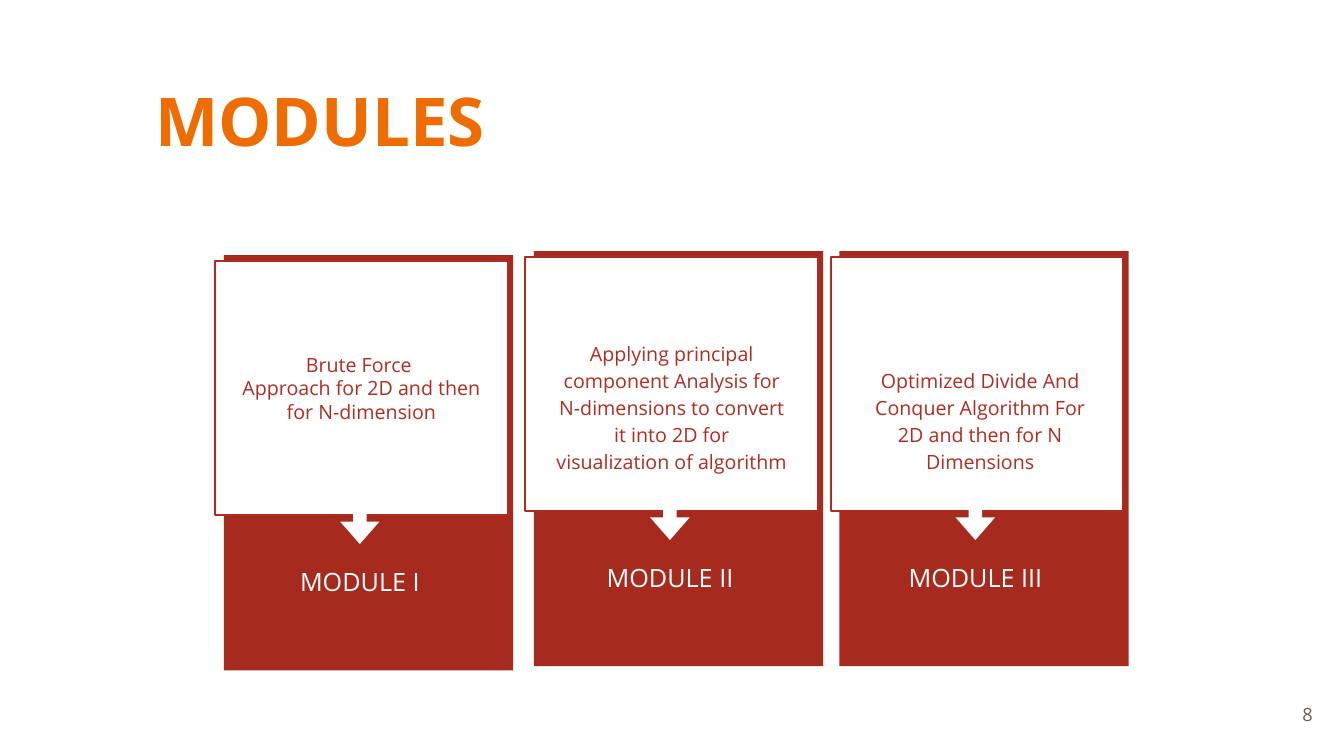
from pptx import Presentation
from pptx.dml.color import RGBColor
from pptx.enum.shapes import MSO_SHAPE
from pptx.enum.text import MSO_ANCHOR, PP_ALIGN
from pptx.util import Pt

RECTANGLE, ARROW = MSO_SHAPE.RECTANGLE, MSO_SHAPE.RIGHT_ARROW
TOP, MIDDLE = MSO_ANCHOR.TOP, MSO_ANCHOR.MIDDLE
LEFT, CENTER, RIGHT = PP_ALIGN.LEFT, PP_ALIGN.CENTER, PP_ALIGN.RIGHT

FONT = "Open Sans"
COLORS = {
    "title": "EF6C00",
    "panel": "A72A1E",
    "accent": "B02C20",
    "white": "FFFFFF",
    "number": "695D46",
}
PANEL_WIDTH, PANEL_HEIGHT = 206.6, 296.6

# Panel left and top, label, paragraphs, and the box of a separate description
# relative to the panel (None puts the text in the white card itself).
MODULES = [
    (159.9, 182.2, "MODULE I",
     ["Brute Force ", "Approach for 2D and then for N-dimension"], None),
    (381.4, 179.3, "MODULE II",
     ["Applying principal component Analysis for N-dimensions to convert "
      "it into 2D for visualization of algorithm"], (6, 53.3, 185, 113.8)),
    (599.6, 179.3, "MODULE III",
     ["Optimized Divide And Conquer Algorithm For 2D and then for N "
      "Dimensions"], (8.1, 72.7, 185, 79.2)),
]


def color(name):
    return RGBColor.from_string(COLORS[name])


def write(shape, paragraphs, size, color_name, align=CENTER, anchor=TOP,
          spacing=None, inset=9.2, bold=False):
    frame = shape.text_frame
    frame.word_wrap = True
    frame.vertical_anchor = anchor
    frame.margin_left = frame.margin_right = Pt(inset)
    frame.margin_top = frame.margin_bottom = Pt(inset)
    for index, text in enumerate(paragraphs):
        paragraph = frame.add_paragraph() if index else frame.paragraphs[0]
        paragraph.alignment = align
        if spacing:
            paragraph.line_spacing = spacing
        run = paragraph.add_run()
        run.text = text
        run.font.name = FONT
        run.font.size = Pt(size)
        run.font.bold = bold
        run.font.color.rgb = color(color_name)


def add_text(slide, box, paragraphs, size, color_name, **options):
    shape = slide.shapes.add_textbox(*map(Pt, box))
    write(shape, paragraphs, size, color_name, **options)


def add_filled(slide, kind, box, fill, line=None):
    shape = slide.shapes.add_shape(kind, *map(Pt, box))
    shape.shadow.inherit = False
    shape.fill.solid()
    shape.fill.fore_color.rgb = color(fill)
    if line:
        shape.line.color.rgb = color(line)
        shape.line.width = Pt(1.5)
    else:
        shape.line.fill.background()
    return shape


def add_module(slide, left, top, label, paragraphs, description):
    """Red panel with a white card, an arrow down and a label."""
    add_filled(slide, RECTANGLE, (left, top, PANEL_WIDTH, PANEL_HEIGHT), "panel")
    card = add_filled(slide, RECTANGLE, (left - 6.1, top + 4.3, 208.8, 181.4),
                      "white", "accent")
    if description:
        x, y, width, height = description
        add_text(slide, (left + x, top + y, width, height), paragraphs, 14,
                 "accent", spacing=1.15)
    else:
        write(card, paragraphs, 14, "accent", anchor=MIDDLE)

    arrow = add_filled(slide, ARROW, (left + 83, top + 178.2, 28.2, 28.2), "white")
    arrow.rotation = 90
    arrow.adjustments[0] = 0.34
    arrow.adjustments[1] = 0.57
    add_text(slide, (left - 6.1, top + 210.2, PANEL_WIDTH, 79.2), [label], 18,
             "white", spacing=1.15)


def add_title(slide, box):
    add_text(slide, box, ["MODULES"], 48, "title", align=LEFT, spacing=0.9,
             inset=7.2, bold=True)


def add_slide_number(slide, box):
    add_text(slide, box, ["8"], 13, "number", align=RIGHT, anchor=MIDDLE)


def main():
    presentation = Presentation()
    presentation.slide_width, presentation.slide_height = Pt(960), Pt(540)
    slide = presentation.slides.add_slide(presentation.slide_layouts[6])
    add_slide_number(slide, (889.2, 489.6, 57.6, 41))
    for module in MODULES:
        add_module(slide, *module)
    add_title(slide, (103.7, 56.2, 451.4, 67))
    presentation.save("out.pptx")


if __name__ == "__main__":
    main()
